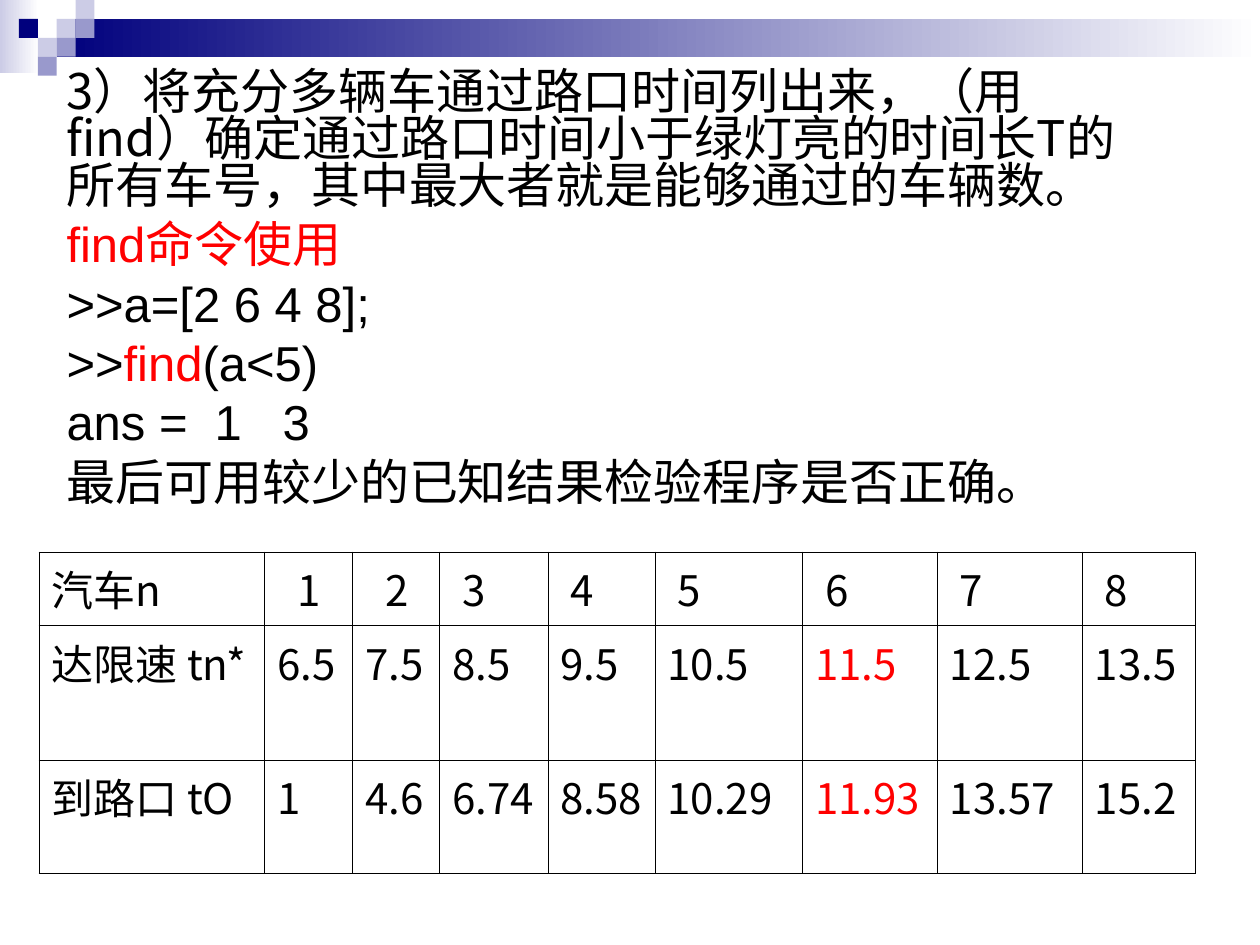
from dataclasses import dataclass
from lxml import etree
from pptx import Presentation, util as u
from pptx.dml.color import RGBColor
from pptx.enum import shapes, text
from pptx.oxml import ns


@dataclass(frozen=True)
class Theme:
    navy: str = "00007D"
    mid: str = "9999CC"
    pale: str = "CCCCE6"
    white: str = "FFFFFF"
    ink: str = "000000"
    accent: str = "FF0000"
    latin: str = "Arial"
    cjk: str = "Noto Sans CJK SC"
    body: int = 28
    cell: int = 24
    border: float = 0.45


T = Theme()
W, H = 10, 7.5
UNIT = 0.15

SQUARES = [(3, 1, T.pale), (4, 0, T.pale), (4, 1, T.mid), (2, 2, T.pale),
           (1, 1, T.navy), (3, 2, T.mid), (2, 3, T.mid)]

BODY = [
    (T.cjk, [("3）将充分多辆车通过路口时间列出来，（用find）确定通过路口时间小于绿灯亮的时间长T"
              "的所有车号，其中最大者就是能够通过的车辆数。", T.ink)]),
    (T.latin, [("find命令使用", T.accent)]),
    (T.latin, [(">>a=[2 6 4 8];", T.ink)]),
    (T.latin, [(">>", T.ink), ("find", T.accent), ("(a<5)", T.ink)]),
    (T.latin, [("ans =  1   3", T.ink)]),
    (T.cjk, [("最后可用较少的已知结果检验程序是否正确。", T.ink)]),
]

COLS = [1.79, 0.7, 0.69, 0.86, 0.85, 1.17, 1.07, 1.15, 0.9]
ROWS = [0.5, 0.9, 0.9]
CELLS = [
    ["汽车n", "1", "2", "3", "4", "5", "6", "7", "8"],
    ["达限速 tn*", "6.5", "7.5", "8.5", "9.5", "10.5", "11.5", "12.5", "13.5"],
    ["到路口 tO", "1", "4.6", "6.74", "8.58", "10.29", "11.93", "13.57", "15.2"],
]
HEAD_INDENT = [0, 0.16, 0.16] + [0.08] * 6
RED_CELLS = {(1, 6), (2, 6)}


def apply(obj, fmt):
    for key, value in fmt.items():
        setattr(obj, key, value)


def rgb(color):
    return RGBColor.from_string(color)


def add_run(p, content, size, font, color):
    r = p.add_run()
    r.text = content
    apply(r.font, {"size": u.Pt(size), "name": font, "bold": False})
    r.font.color.rgb = rgb(color)
    etree.SubElement(r.font._element, ns.qn("a:ea"), typeface=T.cjk)


def add_rect(s, x, y, w, h, *colors):
    sp = s.shapes.add_shape(shapes.MSO_SHAPE.RECTANGLE,
                            *map(u.Inches, (x, y, w, h)))
    sp.shadow.inherit = False
    sp.line.fill.background()
    if len(colors) == 1:
        sp.fill.solid()
        sp.fill.fore_color.rgb = rgb(colors[0])
    else:
        sp.fill.gradient()
        sp.fill.gradient_angle = 0
        for stop, color in zip(sp.fill.gradient_stops, colors):
            stop.color.rgb = rgb(color)


def add_banner(s):
    add_rect(s, 0, 0, 0.31, 0.58, T.pale, T.white)
    add_rect(s, 3 * UNIT, UNIT, W - 3 * UNIT, 2 * UNIT, T.navy, T.white)
    for col, row, color in SQUARES:
        add_rect(s, col * UNIT, row * UNIT, UNIT, UNIT, color)


def add_body(s):
    tf = s.shapes.add_textbox(*map(u.Inches, (0.43, 0.52, 8.66, 3.7))).text_frame
    apply(tf, {"word_wrap": True, "auto_size": text.MSO_AUTO_SIZE.NONE,
               "vertical_anchor": text.MSO_ANCHOR.TOP})
    for i, (font, runs) in enumerate(BODY):
        p = tf.add_paragraph() if i else tf.paragraphs[0]
        apply(p, {"line_spacing": 0.8, "space_before": u.Pt(7 if i else 0)})
        for content, color in runs:
            add_run(p, content, T.body, font, color)


def add_borders(cell):
    tcPr = cell._tc.get_or_add_tcPr()
    for side in ("lnL", "lnR", "lnT", "lnB"):
        ln = etree.SubElement(tcPr, ns.qn("a:" + side), w=str(u.Pt(T.border)))
        fill = etree.SubElement(ln, ns.qn("a:solidFill"))
        etree.SubElement(fill, ns.qn("a:srgbClr"), val=T.ink)


def add_times_table(s):
    box = map(u.Inches, (0.31, 4.38, sum(COLS), sum(ROWS)))
    tbl = s.shapes.add_table(len(ROWS), len(COLS), *box).table
    apply(tbl, {"first_row": False, "horz_banding": False})
    for col, width in zip(tbl.columns, COLS):
        col.width = u.Inches(width)
    for i, (row, height) in enumerate(zip(tbl.rows, ROWS)):
        row.height = u.Inches(height)
        for j, cell in enumerate(row.cells):
            add_borders(cell)
            cell.fill.background()
            p = cell.text_frame.paragraphs[0]
            if i == 0 and HEAD_INDENT[j]:
                p._p.get_or_add_pPr().set("marL", str(u.Inches(HEAD_INDENT[j])))
            color = T.accent if (i, j) in RED_CELLS else T.ink
            add_run(p, CELLS[i][j], T.cell, T.cjk, color)


def main():
    prs = Presentation()
    apply(prs, {"slide_width": u.Inches(W), "slide_height": u.Inches(H)})
    s = prs.slides.add_slide(prs.slide_layouts[6])
    add_banner(s)
    add_body(s)
    add_times_table(s)
    prs.save("out.pptx")


if __name__ == "__main__":
    main()
